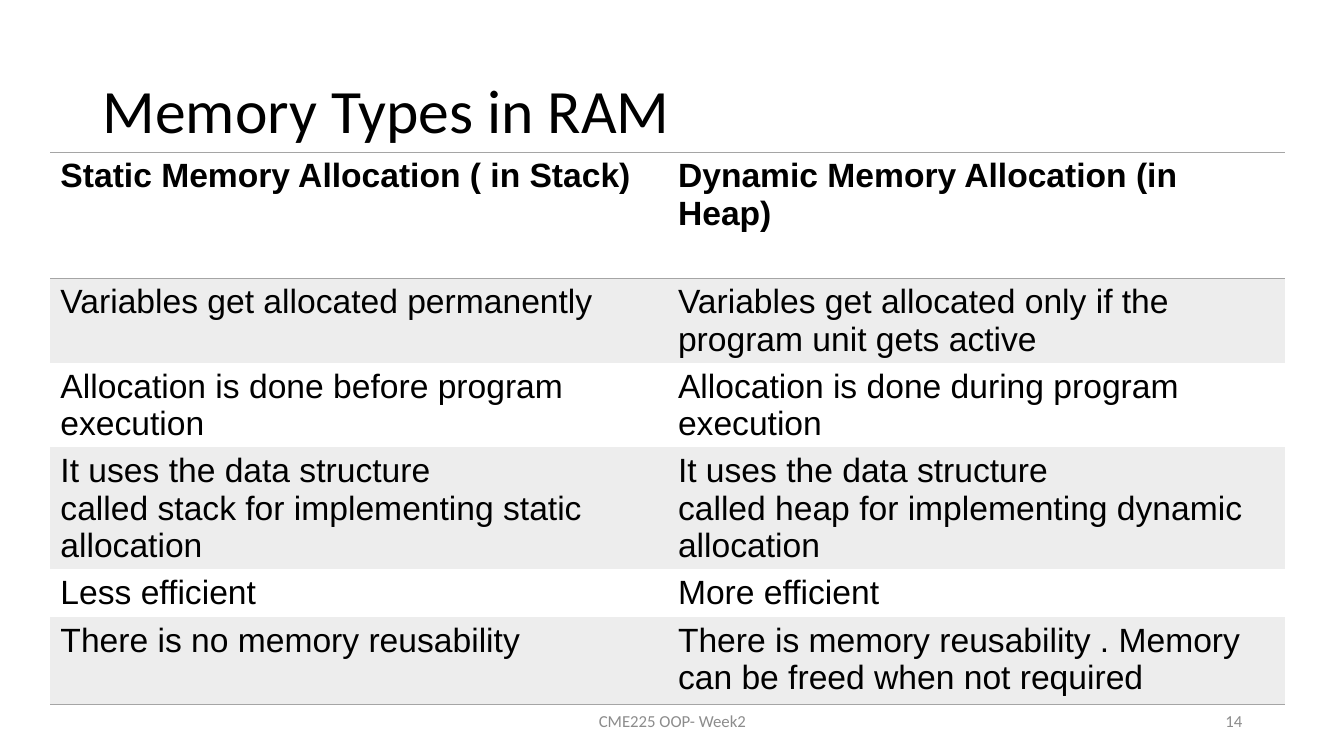
from lxml.etree import SubElement
from pptx import Presentation
from pptx.dml.color import RGBColor
from pptx.enum.text import MSO_ANCHOR as ANCHOR, PP_ALIGN as ALIGN
from pptx.oxml.ns import qn
from pptx.util import Inches, Pt

NBSP = chr(160)
ROWS = [
    (1.25, "Static Memory Allocation ( in Stack)", "Dynamic Memory Allocation (in Heap)"),
    (0.84, "Variables get allocated permanently",
     "Variables get allocated only if the program unit gets active"),
    (0.84, "Allocation is done before program execution",
     "Allocation is done during program execution"),
    (1.21, f"It uses the data structure called{NBSP}stack{NBSP}for implementing static allocation",
     f"It uses the data structure called{NBSP}heap{NBSP}for implementing dynamic allocation"),
    (0.47, "Less efficient", "More efficient"),
    (0.87, "There is no memory reusability",
     "There is memory reusability . Memory can be freed when not required"),
]
RULE, BAND, BLACK, GRAY = "A5A5A5", "EDEDED", "000000", "8C8C8C"


def rgb(value):
    """Turn a hex string into a colour."""
    return RGBColor.from_string(value)


def style_text(p, size, font, color, bold=False):
    """Format every run of a paragraph."""
    for r in p.runs:
        r.font.size = Pt(size)
        r.font.name = font
        r.font.bold = bold
        r.font.color.rgb = rgb(color)


def add_text(s, text, box, size, color, align=ALIGN.LEFT, spacing=1.0):
    """Add a vertically centred Calibri text box."""
    tf = s.shapes.add_textbox(*[Inches(v) for v in box]).text_frame
    tf.word_wrap = True
    tf.vertical_anchor = ANCHOR.MIDDLE
    p = tf.paragraphs[0]
    p.text = text
    p.alignment = align
    p.line_spacing = spacing
    style_text(p, size, "Calibri", color)


def set_borders(cell, ruled):
    """Rule the named sides of a cell and clear the others."""
    tc_pr = cell._tc.get_or_add_tcPr()
    for side in "LRTB":
        ln = SubElement(tc_pr, qn(f"a:ln{side}"), w=str(Pt(1)))
        if side in ruled:
            fill = SubElement(ln, qn("a:solidFill"))
            SubElement(fill, qn("a:srgbClr"), val=RULE)
        else:
            SubElement(ln, qn("a:noFill"))


def fill_cell(cell, text, ruled, banded, bold):
    """Set the text, borders and background of a cell."""
    cell.text = text
    cell.margin_bottom = Inches(0)
    style_text(cell.text_frame.paragraphs[0], 24, "Arial", BLACK, bold)
    set_borders(cell, ruled)
    if banded:
        cell.fill.solid()
        cell.fill.fore_color.rgb = rgb(BAND)
    else:
        cell.fill.background()


def add_comparison(s):
    """Add the table comparing static and dynamic allocation."""
    height = sum(row[0] for row in ROWS)
    table = s.shapes.add_table(len(ROWS), 2, Inches(0.5), Inches(1.51),
                               Inches(12.25), Inches(height)).table
    table.first_row = table.horz_banding = False
    rules = {0: "TB", 1: "T", len(ROWS) - 1: "B"}
    for i, (row_height, *texts) in enumerate(ROWS):
        table.rows[i].height = Inches(row_height)
        for j, text in enumerate(texts):
            fill_cell(table.cell(i, j), text, rules.get(i, ""), i % 2 == 1, i == 0)


def main():
    """Build and save the slide."""
    prs = Presentation()
    prs.slide_width, prs.slide_height = Inches(13.33), Inches(7.5)
    s = prs.slides.add_slide(prs.slide_layouts[6])
    add_comparison(s)
    add_text(s, "Memory Types in RAM", (0.92, 0.4, 11.5, 1.45), 44, BLACK, spacing=0.9)
    add_text(s, "CME225 OOP- Week2", (4.42, 6.95, 4.5, 0.4), 12, GRAY, ALIGN.CENTER)
    add_text(s, "14", (9.42, 6.95, 3, 0.4), 12, GRAY, ALIGN.RIGHT)
    prs.save("out.pptx")


if __name__ == "__main__":
    main()
